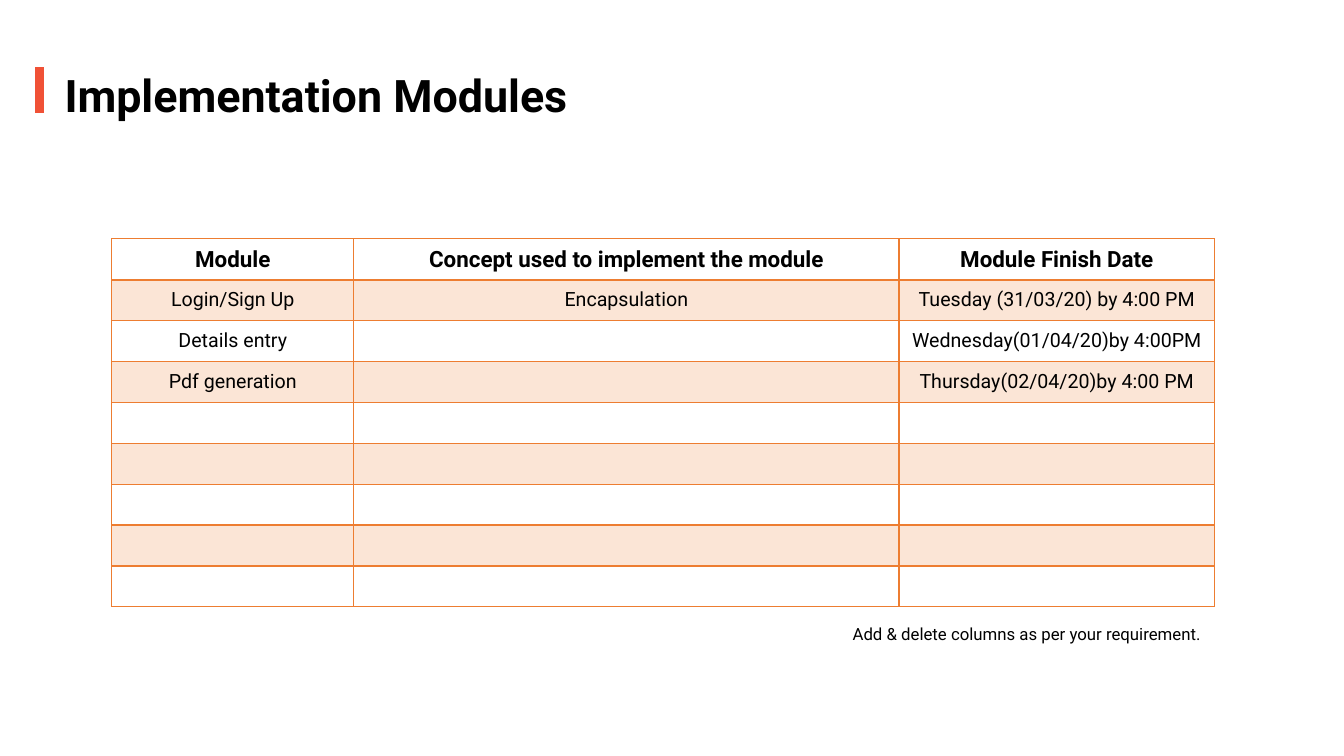
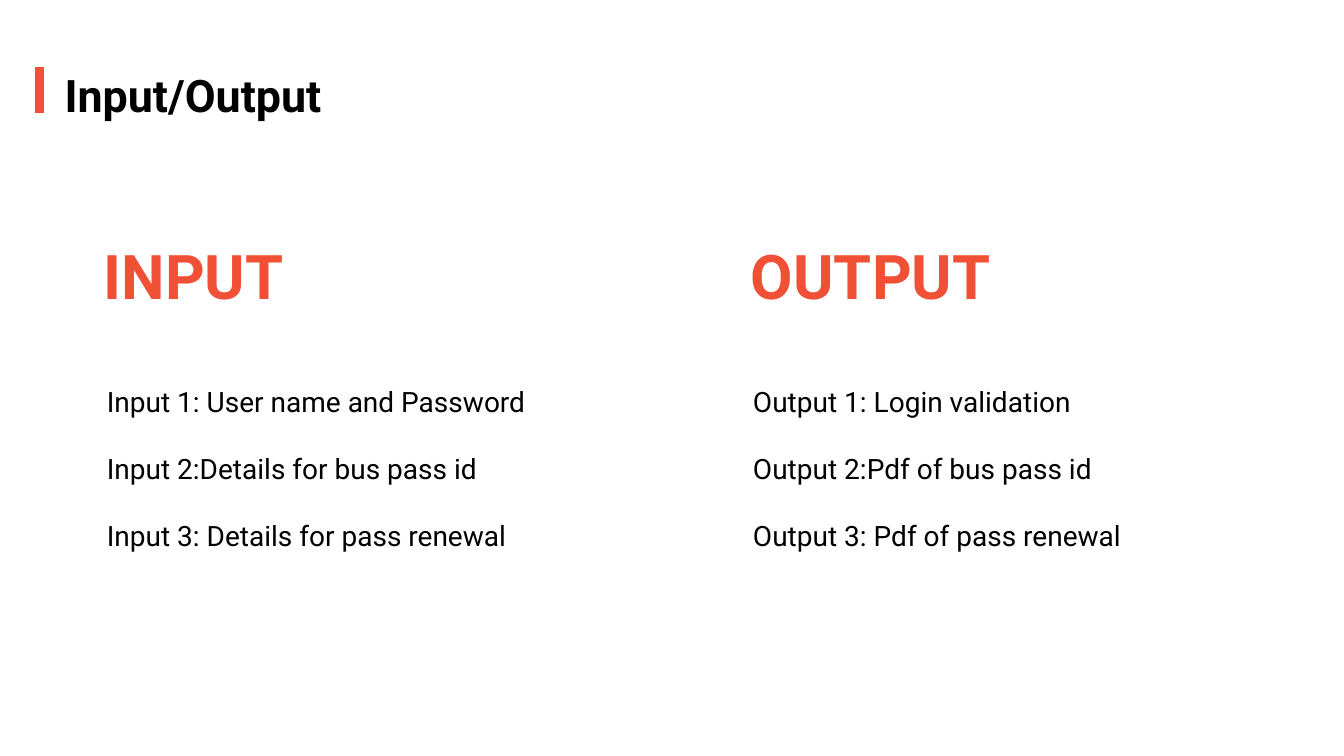
from pptx import Presentation
from pptx.dml.color import RGBColor
from pptx.enum.shapes import MSO_SHAPE
from pptx.enum.text import MSO_ANCHOR, MSO_AUTO_SIZE, PP_ALIGN
from pptx.oxml import parse_xml
from pptx.oxml.ns import nsdecls
from pptx.util import Emu, Pt

PX = 9144
SLIDE_SIZE = (12192000, 6858000)
FONT = "Roboto"
COLORS = {
    "accent": "F05136",
    "border": "ED7D31",
    "band": "FBE5D6",
    "white": "FFFFFF",
    "text": "000000",
}

MODULES_TITLE = "Implementation Modules"
MODULE_ROWS = [
    ("Module", "Concept used to implement the module", "Module Finish Date"),
    ("Login/Sign Up", "Encapsulation", "Tuesday (31/03/20) by 4:00 PM"),
    ("Details entry", "", "Wednesday(01/04/20)by 4:00PM"),
    ("Pdf generation", "", "Thursday(02/04/20)by 4:00 PM"),
]
EMPTY_ROWS = 5
COLUMN_WIDTHS = (240, 541, 313)
TABLE_HEIGHT = 365
FOOTNOTE = "Add & delete columns as per your requirement."

INPUT_OUTPUT_TITLE = "Input/Output"
INPUT_OUTPUT_COLUMNS = [
    ("INPUT", (93, 231, 210, 84), (96, 376, 439, 178), [
        "Input 1: User name and Password",
        "Input 2:Details for bus pass id",
        "Input 3: Details for pass renewal",
    ]),
    ("OUTPUT", (735, 231, 275, 84), (737, 376, 439, 178), [
        "Output 1: Login validation",
        "Output 2:Pdf of bus pass id",
        "Output 3: Pdf of pass renewal",
    ]),
]


def color(name):
    return RGBColor.from_string(COLORS[name])


def box(left, top, width, height):
    return [Emu(value * PX) for value in (left, top, width, height)]


def place(shape, left, top, width, height):
    shape.left, shape.top, shape.width, shape.height = box(left, top, width, height)


def paint(shape, color_name):
    shape.fill.solid()
    shape.fill.fore_color.rgb = color(color_name)


def write(text_frame, lines, size, bold=False, color_name="text",
          align=PP_ALIGN.LEFT, anchor=MSO_ANCHOR.TOP, gap=0):
    text_frame.text = "\n".join(lines)
    text_frame.word_wrap = True
    text_frame.vertical_anchor = anchor
    for index, paragraph in enumerate(text_frame.paragraphs):
        paragraph.alignment = align
        paragraph.space_before = Pt(gap if index else 0)
        for run in paragraph.runs:
            run.font.name = FONT
            run.font.size = Pt(size)
            run.font.bold = bold
            run.font.color.rgb = color(color_name)


def remove_bullets(text_frame):
    for paragraph in text_frame.paragraphs:
        properties = paragraph._p.get_or_add_pPr()
        properties.set("marL", "0")
        properties.set("indent", "0")
        properties.append(parse_xml(f"<a:buNone {nsdecls('a')}/>"))


def add_titled_slide(presentation, layout_name, title_text):
    layout = presentation.slide_layouts.get_by_name(layout_name)
    slide = presentation.slides.add_slide(layout)
    bar = slide.shapes.add_shape(MSO_SHAPE.RECTANGLE, *box(34, 66, 10, 47))
    bar.shadow.inherit = False
    paint(bar, "accent")
    bar.line.color.rgb = color("white")
    bar.line.width = Pt(1)
    title = slide.shapes.title
    place(title, 54, 62, 571, 64)
    title.text_frame.auto_size = MSO_AUTO_SIZE.NONE
    write(title.text_frame, [title_text], 32, bold=True)
    return slide


def set_borders(cell, bottom_width, top_width):
    widths = {"lnL": 1, "lnR": 1, "lnT": top_width, "lnB": bottom_width}
    properties = cell._tc.get_or_add_tcPr()
    for index, (edge, width) in enumerate(widths.items()):
        properties.insert(index, parse_xml(
            f'<a:{edge} {nsdecls("a")} w="{Pt(width)}"><a:solidFill>'
            f'<a:srgbClr val="{COLORS["border"]}"/></a:solidFill></a:{edge}>'))


def add_modules_table(slide):
    rows = MODULE_ROWS + [("",) * len(COLUMN_WIDTHS)] * EMPTY_ROWS
    frame = slide.shapes.add_table(
        len(rows), len(COLUMN_WIDTHS),
        *box(111, 237, sum(COLUMN_WIDTHS), TABLE_HEIGHT))
    table = frame.table
    for column, width in zip(table.columns, COLUMN_WIDTHS):
        column.width = Emu(width * PX)
    for row_index, texts in enumerate(rows):
        table.rows[row_index].height = Emu(TABLE_HEIGHT * PX // len(rows))
        is_header = row_index == 0
        for column_index, text in enumerate(texts):
            cell = table.cell(row_index, column_index)
            paint(cell, "band" if row_index % 2 else "white")
            write(cell.text_frame, [text], 16 if is_header else 14,
                  bold=is_header, align=PP_ALIGN.CENTER)
            cell.vertical_anchor = MSO_ANCHOR.MIDDLE
            set_borders(cell, 2 if is_header else 1, 2 if row_index == 1 else 1)


def build_modules_slide(presentation):
    slide = add_titled_slide(presentation, "Title Only", MODULES_TITLE)
    add_modules_table(slide)
    footnote = slide.shapes.add_textbox(*box(836, 614, 391, 30))
    write(footnote.text_frame, [FOOTNOTE], 12)


def build_input_output_slide(presentation):
    slide = add_titled_slide(presentation, "Comparison", INPUT_OUTPUT_TITLE)
    bodies = [shape for shape in slide.placeholders if shape.placeholder_format.idx > 0]
    pairs = zip(bodies[::2], bodies[1::2])
    for (heading, items), column in zip(pairs, INPUT_OUTPUT_COLUMNS):
        label, heading_box, items_box, lines = column
        place(heading, *heading_box)
        place(items, *items_box)
        for shape in (heading, items):
            shape.text_frame.auto_size = MSO_AUTO_SIZE.NONE
        paint(heading, "white")
        write(heading.text_frame, [label], 44, bold=True, color_name="accent")
        write(items.text_frame, lines, 20, gap=24)
        remove_bullets(items.text_frame)


def main():
    presentation = Presentation()
    presentation.slide_width, presentation.slide_height = map(Emu, SLIDE_SIZE)
    build_modules_slide(presentation)
    build_input_output_slide(presentation)
    presentation.save("out.pptx")


if __name__ == "__main__":
    main()
